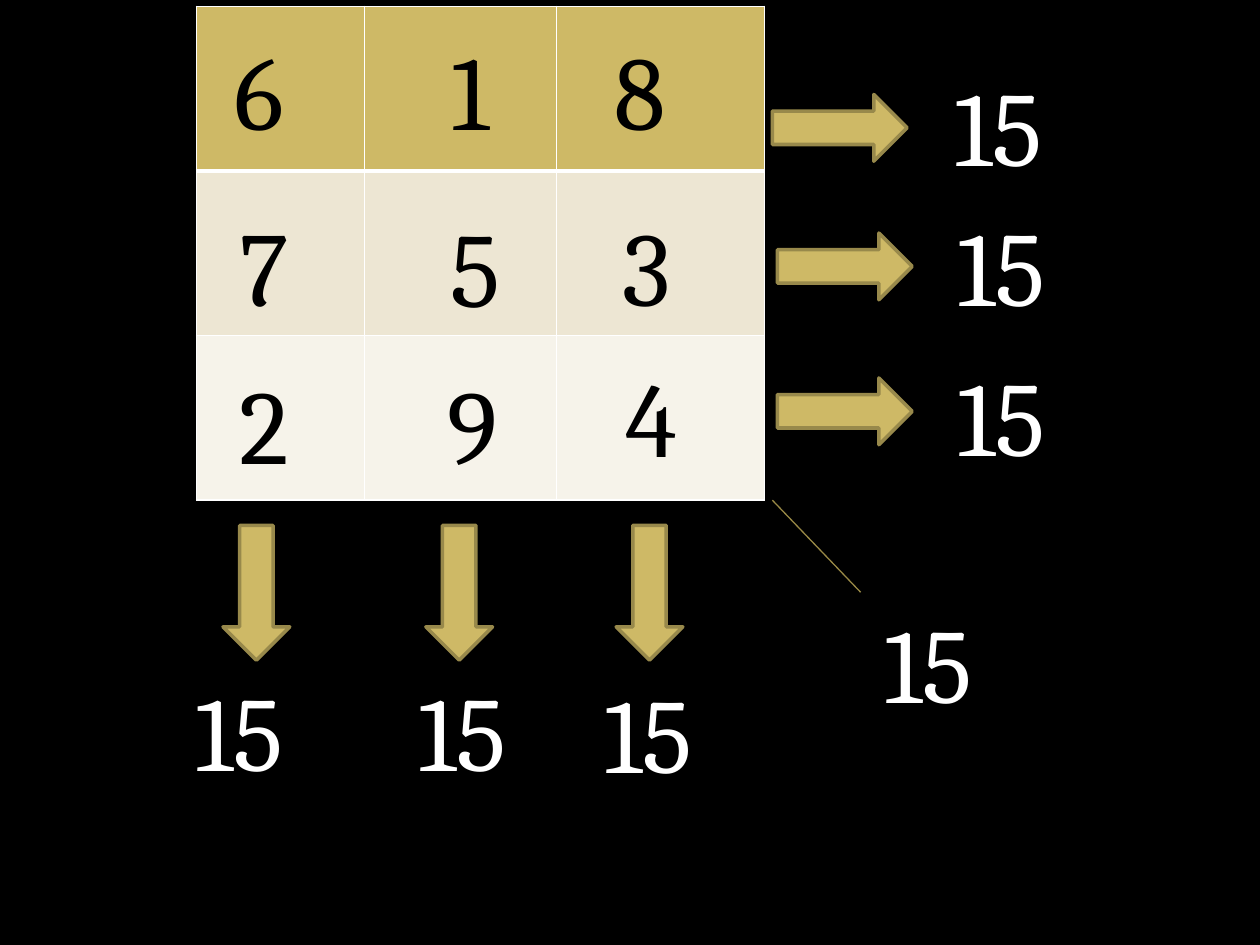
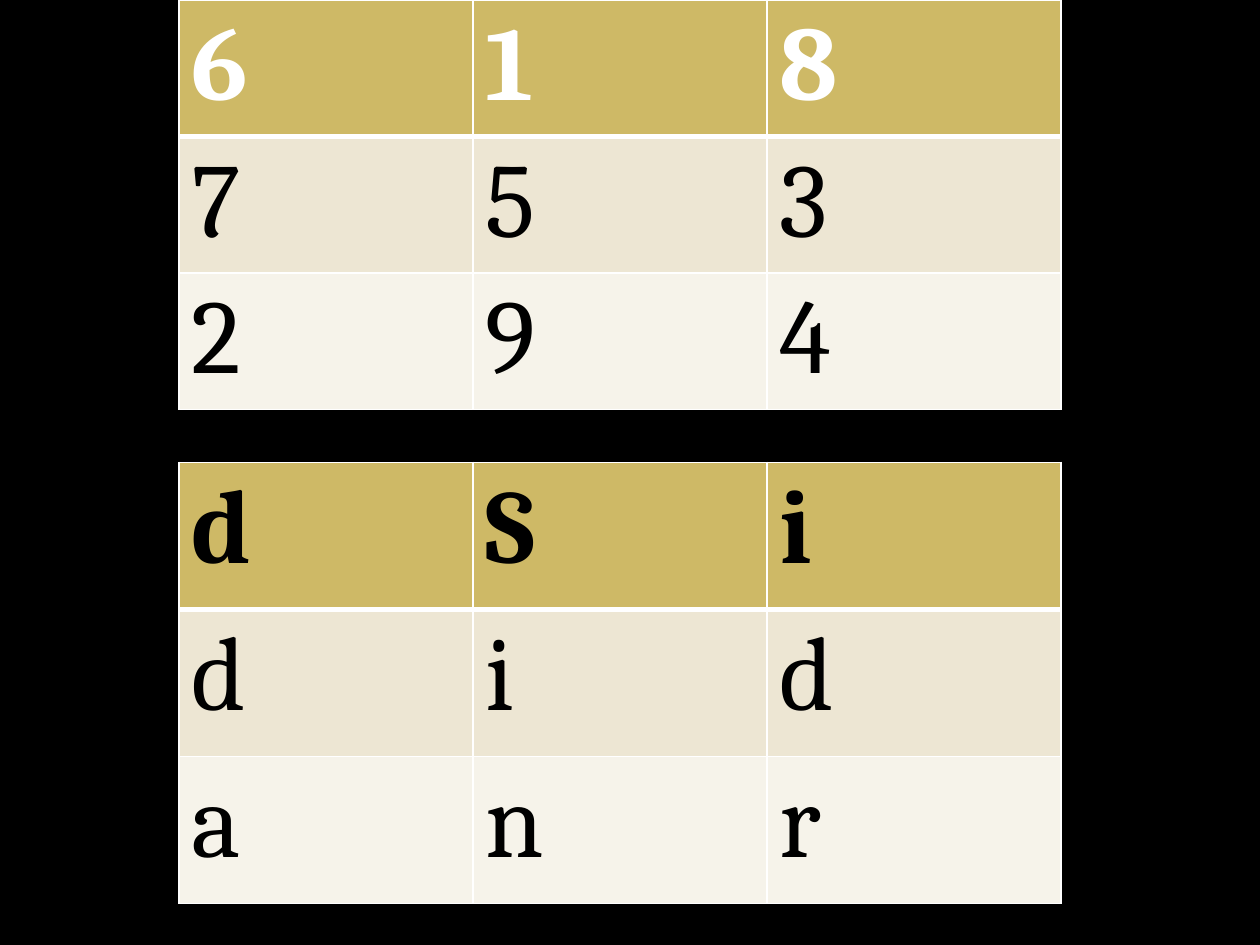
from lxml import etree
from pptx import Presentation
from pptx.dml.color import RGBColor
from pptx.enum.shapes import MSO_CONNECTOR, MSO_SHAPE
from pptx.enum.text import MSO_AUTO_SIZE, PP_ALIGN
from pptx.oxml.ns import qn
from pptx.util import Inches, Pt

BLACK = RGBColor(0x00, 0x00, 0x00)
WHITE = RGBColor(0xFF, 0xFF, 0xFF)
GOLD = RGBColor(0xCE, 0xB9, 0x66)
GOLD_EDGE = RGBColor(0x98, 0x89, 0x4B)
GOLD_LINE = RGBColor(0x99, 0x89, 0x46)
SAND = RGBColor(0xED, 0xE6, 0xD3)
IVORY = RGBColor(0xF6, 0xF3, 0xEA)
ROW_FILLS = (GOLD, SAND, IVORY)

FONT, SIZE = "Cambria", Pt(60)
LEFT, CENTER = PP_ALIGN.LEFT, PP_ALIGN.CENTER
RIGHT_ARROW, DOWN_ARROW = MSO_SHAPE.RIGHT_ARROW, MSO_SHAPE.DOWN_ARROW
STRAIGHT = MSO_CONNECTOR.STRAIGHT
FIT_SHAPE = MSO_AUTO_SIZE.SHAPE_TO_FIT_TEXT

# The slide is a grid of 100 columns by 75 rows of square units
COLUMNS, ROWS = 100, 75
TEXT_H = 11.1                     # one line of 60 pt text
SUM_W = 11.5
ARROW_LONG, ARROW_WIDE = 10.7, 5.3


def units(*values):
    return [Inches(v / 10) for v in values]


def style(p, color, bold=False, align=LEFT):
    p.alignment = align
    p.font.name, p.font.size = FONT, SIZE
    p.font.bold = bold
    p.font.color.rgb = color


def add_slide(prs):
    s = prs.slides.add_slide(prs.slide_layouts[6])
    s.background.fill.solid()
    s.background.fill.fore_color.rgb = BLACK
    return s


def add_text(s, text, left, top, width, color, align=LEFT):
    sp = s.shapes.add_textbox(*units(left, top, width, TEXT_H))
    tf = sp.text_frame
    tf.word_wrap, tf.auto_size = True, FIT_SHAPE
    p = tf.paragraphs[0]
    p.text = text
    style(p, color, align=align)


def add_arrow(s, kind, left, top):
    size = (ARROW_LONG, ARROW_WIDE)
    if kind == DOWN_ARROW:
        size = size[::-1]
    sp = s.shapes.add_shape(kind, *units(left, top, *size))
    sp.shadow.inherit = False
    sp.fill.solid()
    sp.fill.fore_color.rgb = GOLD
    sp.line.color.rgb = GOLD_EDGE
    sp.line.width = Pt(2)


def set_borders(cell, row):
    """White rules, with a heavier one under the header row."""
    widths = {"lnL": 1, "lnR": 1,
              "lnT": 3 if row == 1 else 1, "lnB": 3 if row == 0 else 1}
    tc_pr = cell._tc.get_or_add_tcPr()
    for i, (tag, width) in enumerate(widths.items()):
        ln = etree.Element(qn("a:" + tag), w=str(Pt(width)))
        fill = etree.SubElement(ln, qn("a:solidFill"))
        etree.SubElement(fill, qn("a:srgbClr"), val=str(WHITE))
        tc_pr.insert(i, ln)


def add_square(s, box, col_shares=(1, 1, 1), rows=None, header_color=BLACK):
    """A 3 by 3 table filling box; rows holds one string of letters a row."""
    table = s.shapes.add_table(3, 3, *units(*box)).table
    width, height = units(*box[2:])
    for col, share in zip(table.columns, col_shares):
        col.width = int(width * share / sum(col_shares))
    for i, row in enumerate(table.rows):
        row.height = height // 3
        for j, cell in enumerate(row.cells):
            cell.fill.solid()
            cell.fill.fore_color.rgb = ROW_FILLS[i]
            set_borders(cell, i)
            if rows:
                p = cell.text_frame.paragraphs[0]
                p.text = rows[i][j]
                style(p, header_color if i == 0 else BLACK, bold=i == 0)


def add_digits(s, left, top):
    # digit, offsets from the square's corner, width, alignment
    for digit, x, y, width, align in (
            ("1", 17.1, 1, 9.2, CENTER), ("2", 2.4, 27.5, 5.7, CENTER),
            ("3", 32.8, 15, 5.8, LEFT), ("4", 33.1, 27, 5.7, LEFT),
            ("5", 19.2, 15.1, 5.8, LEFT), ("6", 2, 1, 8.8, LEFT),
            ("7", 2.4, 15, 6.9, LEFT), ("8", 32.2, 1, 7.5, LEFT),
            ("9", 18.9, 27.5, 5.7, LEFT)):
        add_text(s, digit, left + x, top + y, width, BLACK, align)


def add_sums(s, box):
    left, top, width, height = box
    right, bottom = left + width, top + height
    # Row sums: arrow offset and top, text offset and top
    for arrow_x, arrow_y, x, y in ((0.6, 7, 14.1, 3.9),
                                   (1, 18, 14.3, 15),
                                   (1, 29.5, 14.3, 26.9)):
        add_arrow(s, RIGHT_ARROW, right + arrow_x, top + arrow_y)
        add_text(s, "15", right + x, top + y, SUM_W, WHITE)
    # Column sums: arrow offset, text offset and drop
    for arrow_x, x, drop in ((2.1, -1.1, 12.7), (18.2, 16.6, 12.7),
                             (33.3, 31.4, 12.9)):
        add_arrow(s, DOWN_ARROW, left + arrow_x, bottom + 2)
        add_text(s, "15", left + x, bottom + drop, SUM_W, WHITE)
    # Diagonal sum
    line = s.shapes.add_connector(
        STRAIGHT, *units(right + 0.6, bottom, right + 7.6, bottom + 7.3))
    line.line.color.rgb = GOLD_LINE
    line.line.width = Pt(0.75)
    etree.SubElement(line._element.spPr, qn("a:effectLst"))
    add_text(s, "15", right + 8.5, bottom + 7.3, SUM_W, WHITE)


def sums_slide(prs, box):
    s = add_slide(prs)
    add_square(s, box, col_shares=(1.33, 1.52, 1.65))
    add_digits(s, *box[:2])
    add_sums(s, box)


def letters_slide(prs, left, width):
    s = add_slide(prs)
    add_square(s, (left, 0, width, 32.5), rows=("618", "753", "294"),
               header_color=WHITE)
    add_square(s, (left, 36.7, width, 35), rows=("dSi", "did", "anr"))


prs = Presentation()
prs.slide_width, prs.slide_height = units(COLUMNS, ROWS)
sums_slide(prs, (15.6, 0.5, 45.1, 39.2))
letters_slide(prs, 14.2, 70)
prs.save("out.pptx")
